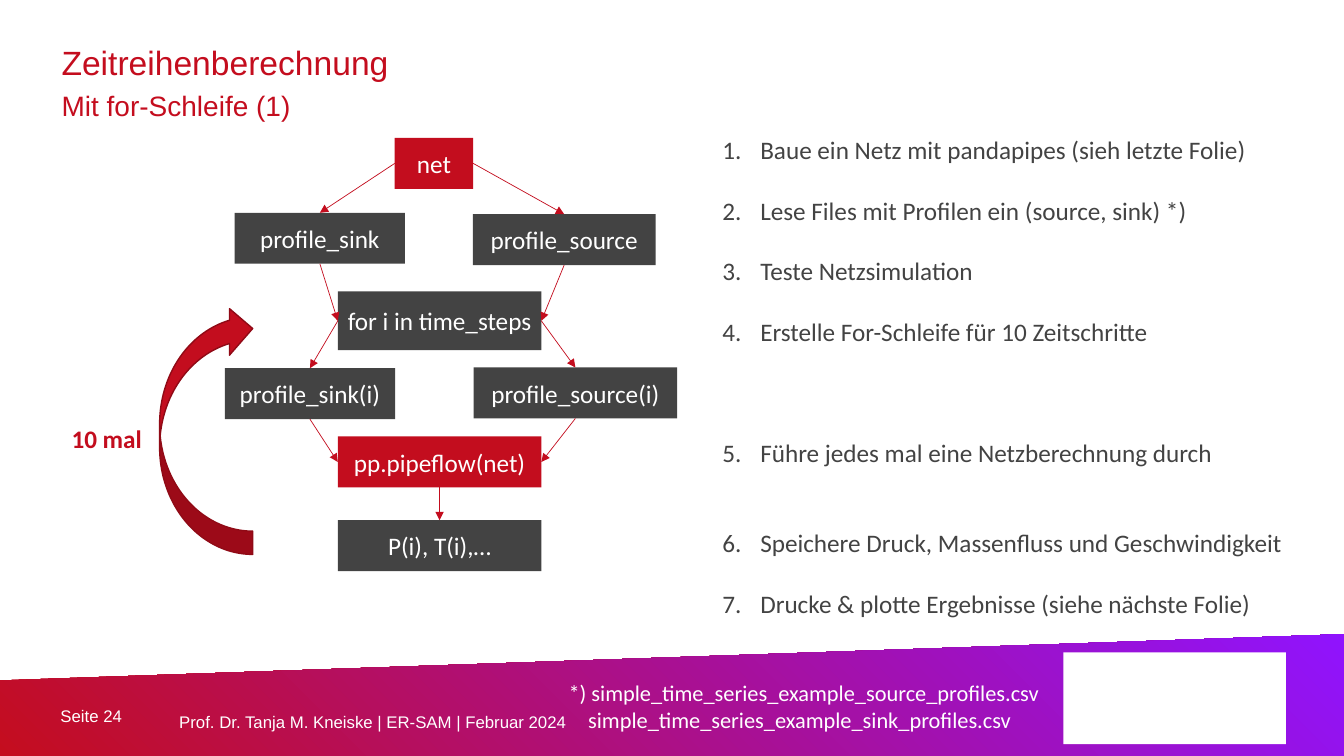
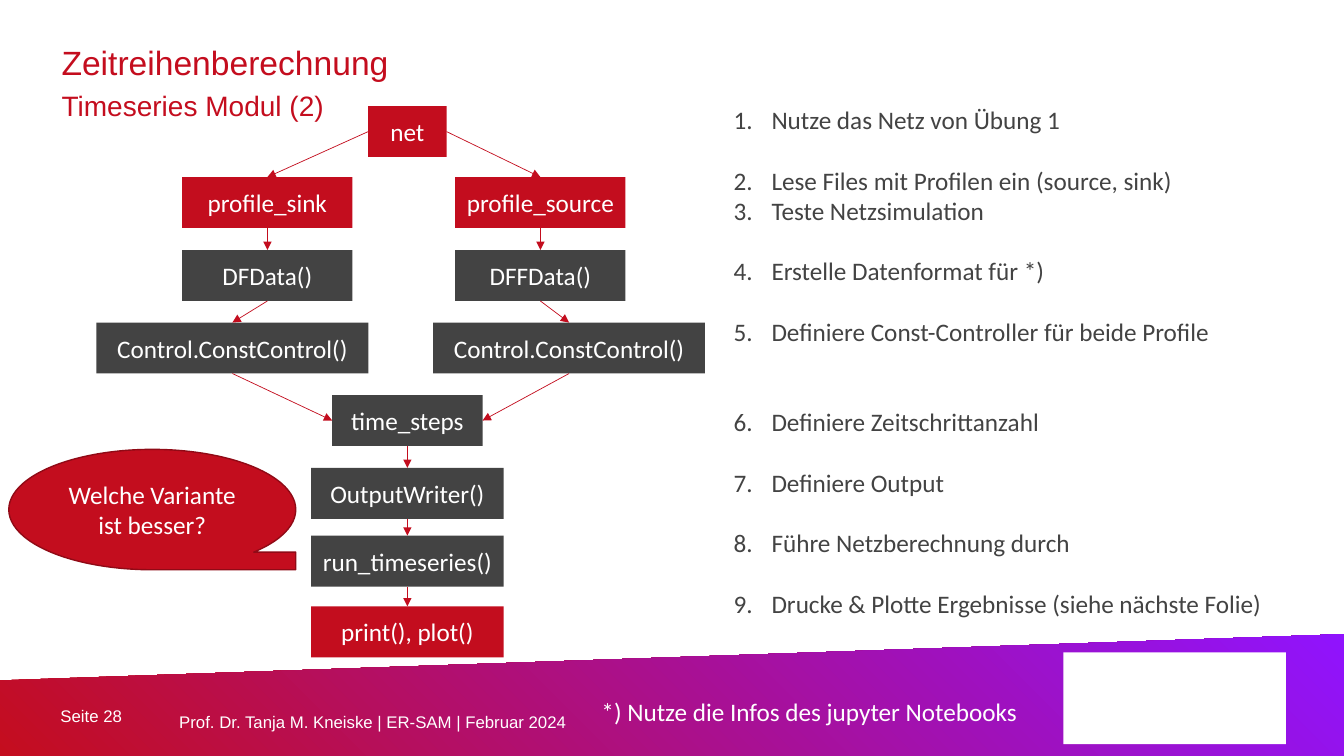
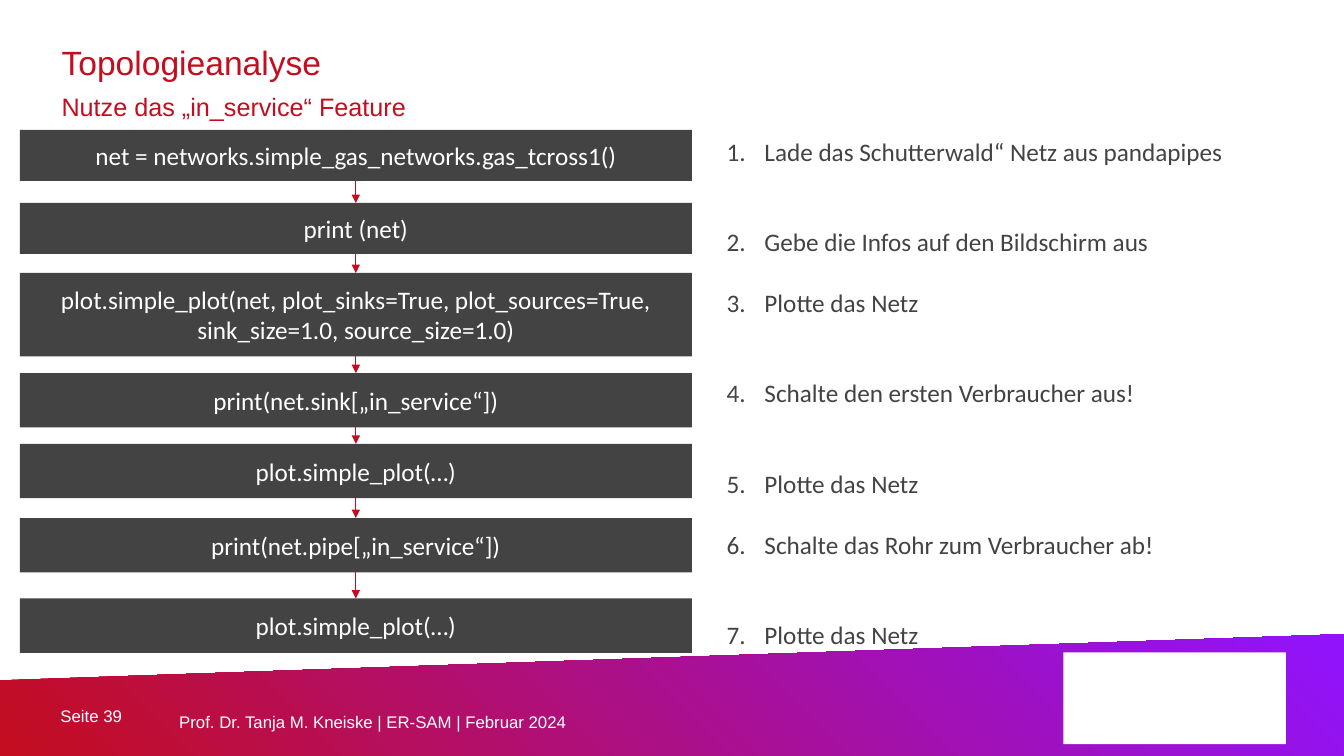
import itertools

import pptx
import pptx.dml.color
import pptx.enum.shapes
import pptx.enum.text
import pptx.oxml
import pptx.oxml.ns
import pptx.util

Pt = pptx.util.Pt
SHAPE = pptx.enum.shapes.MSO_SHAPE
MIDDLE = pptx.enum.text.MSO_ANCHOR.MIDDLE
BOTTOM = pptx.enum.text.MSO_ANCHOR.BOTTOM
CENTER = pptx.enum.text.PP_ALIGN.CENTER

TITLE_RED, RED, DARK_RED = "C40D1E", "C30D1E", "900A16"
GREY, WHITE, PURPLE = "434343", "FFFFFF", "9013FE"
WIDTH, HEIGHT = 960, 540
BOX_HEIGHT = 36.4
LIST_LINE = 21.6
LIST_INDENT = Pt(27)
TOP, LEFT, BELOW, RIGHT = range(4)
FOOTER = "Prof. Dr. Tanja M. Kneiske | ER-SAM | Februar 2024"

BODY = {"name": "Calibri", "size": Pt(18)}
SMALL = {"name": "Arial", "size": Pt(12)}
HEADING = {"name": "Arial", "size": Pt(24)}


def rgb(colour):
    return pptx.dml.color.RGBColor.from_string(colour)


def set_all(obj, values):
    for name, value in values.items():
        setattr(obj, name, value)


def add_xml(parent, tag, attributes=""):
    ns = pptx.oxml.ns.nsdecls("a")
    parent.append(pptx.oxml.parse_xml(f"<a:{tag} {ns} {attributes}/>"))


def write(p, text, font, colour, **layout):
    set_all(p, layout)
    r = p.add_run()
    r.text = text
    set_all(r.font, font)
    r.font.color.rgb = rgb(colour)


def set_frame(tf, side=7.2, edge=3.6, anchor=MIDDLE):
    set_all(tf, {
        "word_wrap": True, "vertical_anchor": anchor,
        "margin_left": Pt(side), "margin_right": Pt(side),
        "margin_top": Pt(edge), "margin_bottom": Pt(edge),
    })


def add_text(slide, area, **frame):
    """Add an empty text box and return its text frame."""
    tf = slide.shapes.add_textbox(*map(Pt, area)).text_frame
    set_frame(tf, **frame)
    return tf


def paint(sp, fill, line=None):
    sp.shadow.inherit = False
    sp.fill.solid()
    sp.fill.fore_color.rgb = rgb(fill)
    if line:
        sp.line.color.rgb = rgb(line)
        sp.line.width = Pt(1)
    else:
        sp.line.fill.background()


def add_shape(slide, kind, area, fill, line=None):
    sp = slide.shapes.add_shape(kind, *map(Pt, area))
    paint(sp, fill, line)
    return sp


def add_box(slide, text, center, top, width, fill=GREY, height=BOX_HEIGHT):
    """Add a labelled flow chart box centred on a vertical axis."""
    area = (center - width / 2, top, width, height)
    sp = add_shape(slide, SHAPE.RECTANGLE, area, fill)
    set_frame(sp.text_frame, side=2)
    write(sp.text_frame.paragraphs[0], text, BODY, WHITE, alignment=CENTER)
    return sp


def add_arrow(slide, start, start_side, end, end_side):
    straight = pptx.enum.shapes.MSO_CONNECTOR.STRAIGHT
    line = slide.shapes.add_connector(straight, 0, 0, 0, 0)
    line.begin_connect(start, start_side)
    line.end_connect(end, end_side)
    line.line.color.rgb = rgb(RED)
    line.line.width = Pt(0.5)
    add_xml(line.line._get_or_add_ln(), "tailEnd", 'type="triangle"')
    add_xml(line._element.spPr, "effectLst")


def add_chain(slide, *boxes):
    """Join boxes that stand one below the other."""
    for upper, lower in itertools.pairwise(boxes):
        add_arrow(slide, upper, BELOW, lower, TOP)


def add_steps(slide, left, top, steps):
    """Add a numbered list; each step has its gap in lines and its text."""
    tf = add_text(slide, (left, top, 435, 360),
                  anchor=pptx.enum.text.MSO_ANCHOR.TOP)
    for i, (gap, text) in enumerate(steps):
        p = tf.add_paragraph() if i else tf.paragraphs[0]
        pPr = p._p.get_or_add_pPr()
        pPr.set("marL", str(LIST_INDENT))
        pPr.set("indent", str(-LIST_INDENT))
        add_xml(pPr, "buFont", 'typeface="+mj-lt"')
        add_xml(pPr, "buAutoNum", 'type="arabicPeriod"')
        write(p, text, BODY, GREY, space_before=Pt(gap * LIST_LINE))


def add_band(slide):
    builder = slide.shapes.build_freeform(Pt(0), Pt(486))
    corners = [(WIDTH, 453), (WIDTH, HEIGHT), (0, HEIGHT)]
    builder.add_line_segments([(Pt(x), Pt(y)) for x, y in corners])
    sp = builder.convert_to_shape()
    paint(sp, TITLE_RED)
    sp.fill.gradient()
    sp.fill.gradient_angle = 45
    for stop, colour in zip(sp.fill.gradient_stops, (TITLE_RED, PURPLE)):
        stop.color.rgb = rgb(colour)


def add_slide(prs, page, title, subtitle, subtitle_size=20):
    """Add a slide with the shared band, footer and title."""
    slide = prs.slides.add_slide(prs.slide_layouts[6])
    add_band(slide)
    tf = add_text(slide, (43.2, 504, 85, 15), side=0, edge=0)
    write(tf.paragraphs[0], f"Seite {page}", SMALL, WHITE)
    tf = add_text(slide, (128, 500.4, 600, 21), side=0, edge=0)
    write(tf.paragraphs[0], FOOTER, SMALL, WHITE, line_spacing=Pt(24))
    add_shape(slide, SHAPE.RECTANGLE, (759.5, 466, 159, 65.5), WHITE)
    tf = add_text(slide, (44, 31, 654, 56), side=0, edge=0, anchor=BOTTOM)
    write(tf.paragraphs[0], title, HEADING, TITLE_RED, line_spacing=Pt(28))
    write(tf.add_paragraph(), subtitle,
          {**HEADING, "size": Pt(subtitle_size)}, TITLE_RED,
          line_spacing=Pt(28))
    return slide


def add_loop_slide(prs):
    slide = add_slide(prs, 24, "Zeitreihenberechnung", "Mit for-Schleife (1)")
    net = add_box(slide, "net", 310, 98.5, 56, RED)
    sink = add_box(slide, "profile_sink", 228.5, 152, 121.6)
    source = add_box(slide, "profile_source", 403, 153, 130.6)
    loop = add_box(slide, "for i in time_steps", 314, 208.2, 145.4, height=42)
    flow = add_box(slide, "pp.pipeflow(net)", 314, 311.8, 145.4, RED)
    sink_i = add_box(slide, "profile_sink(i)", 221.4, 263, 121.6)
    source_i = add_box(slide, "profile_source(i)", 411, 262.5, 145.4)
    result = add_box(slide, "P(i), T(i),…", 314, 371.6, 145.4)
    for side, profile, profile_i in ((RIGHT, source, source_i),
                                     (LEFT, sink, sink_i)):
        add_arrow(slide, net, side, profile, TOP)
        add_arrow(slide, profile, BELOW, loop, side)
        add_arrow(slide, loop, side, profile_i, TOP)
        add_arrow(slide, profile_i, BELOW, flow, side)
    add_chain(slide, flow, result)

    repeat = add_shape(slide, SHAPE.CURVED_LEFT_ARROW,
                       (114, 218, 66.5, 178), RED, DARK_RED)
    repeat.rotation = 180
    tf = add_text(slide, (44, 299, 70, 29))
    write(tf.paragraphs[0], "10 mal", {**BODY, "bold": True}, RED)

    add_steps(slide, 509, 92.5, [
        (0, "Baue ein Netz mit pandapipes (sieh letzte Folie)"),
        (1, "Lese Files mit Profilen ein (source, sink) *)"),
        (1, "Teste Netzsimulation"),
        (1, "Erstelle For-Schleife für 10 Zeitschritte"),
        (3, "Führe jedes mal eine Netzberechnung durch"),
        (2, "Speichere Druck, Massenfluss und Geschwindigkeit"),
        (1, "Drucke & plotte Ergebnisse (siehe nächste Folie)"),
    ])
    tf = add_text(slide, (399, 481, 358, 46))
    note = {**BODY, "size": Pt(16)}
    write(tf.paragraphs[0], "*) simple_time_series_example_source_profiles.csv",
          note, WHITE)
    p = tf.add_paragraph()
    p._p.get_or_add_pPr().set("marL", str(Pt(14)))
    write(p, "simple_time_series_example_sink_profiles.csv", note, WHITE)


def add_module_slide(prs):
    slide = add_slide(prs, 28, "Zeitreihenberechnung", "Timeseries Modul (2)")
    axis = 291
    net = add_box(slide, "net", axis, 75.8, 56, RED)
    steps = add_box(slide, "time_steps", axis, 282.2, 107.4)
    branches = ((RIGHT, 386, 406.5, "profile_source", "DFFData()"),
                (LEFT, 191, 166, "profile_sink", "DFData()"))
    for side, center, control_center, profile_name, data_name in branches:
        profile = add_box(slide, profile_name, center, 126.5, 121.6, RED)
        data = add_box(slide, data_name, center, 178.6, 121.6)
        control = add_box(slide, "Control.ConstControl()", control_center,
                          230.4, 194.2)
        add_arrow(slide, net, side, profile, TOP)
        add_chain(slide, profile, data, control)
        add_arrow(slide, control, BELOW, steps, side)
    writer = add_box(slide, "OutputWriter()", axis, 334.2, 137.4)
    run = add_box(slide, "run_timeseries()", axis, 382.6, 137.4)
    output = add_box(slide, "print(), plot()", axis, 433.2, 137.4, RED)
    add_chain(slide, steps, writer, run, output)

    add_steps(slide, 517, 71, [
        (0, "Nutze das Netz von Übung 1"),
        (1, "Lese Files mit Profilen ein (source, sink)"),
        (0, "Teste Netzsimulation"),
        (1, "Erstelle Datenformat für *)"),
        (1, "Definiere Const-Controller für beide Profile"),
        (2, "Definiere Zeitschrittanzahl"),
        (1, "Definiere Output"),
        (1, "Führe Netzberechnung durch"),
        (1, "Drucke & Plotte Ergebnisse (siehe nächste Folie)"),
    ])
    tf = add_text(slide, (422.6, 494, 330, 29))
    write(tf.paragraphs[0], "*) Nutze die Infos des jupyter Notebooks",
          BODY, WHITE)
    question = add_shape(slide, SHAPE.FLOWCHART_SEQUENTIAL_ACCESS_STORAGE,
                         (6.3, 321, 205, 86), RED, DARK_RED)
    set_frame(question.text_frame)
    write(question.text_frame.paragraphs[0], "Welche Variante ist besser?",
          BODY, WHITE, alignment=CENTER)


def add_topology_slide(prs):
    slide = add_slide(prs, 39, "Topologieanalyse",
                      "Nutze das „in_service“ Feature", 18)
    commands = [
        ("net = networks.simple_gas_networks.gas_tcross1()", 92.8, BOX_HEIGHT),
        ("print (net)", 145, BOX_HEIGHT),
        ("plot.simple_plot(net, plot_sinks=True, plot_sources=True, "
         "sink_size=1.0, source_size=1.0)", 195, 59.6),
        ("print(net.sink[„in_service“])", 266.5, 38.8),
        ("plot.simple_plot(…)", 317, 38.8),
        ("print(net.pipe[„in_service“])", 370, 38.8),
        ("plot.simple_plot(…)", 427.5, 38.8),
    ]
    add_chain(slide, *[add_box(slide, text, 254.2, top, 480, height=height)
                       for text, top, height in commands])
    add_steps(slide, 512, 93.5, [
        (0, "Lade das Schutterwald“ Netz aus pandapipes"),
        (2, "Gebe die Infos auf den Bildschirm aus"),
        (1, "Plotte das Netz"),
        (2, "Schalte den ersten Verbraucher aus!"),
        (2, "Plotte das Netz"),
        (1, "Schalte das Rohr zum Verbraucher ab!"),
        (2, "Plotte das Netz"),
    ])


def main():
    prs = pptx.Presentation()
    prs.slide_width, prs.slide_height = Pt(WIDTH), Pt(HEIGHT)
    add_loop_slide(prs)
    add_module_slide(prs)
    add_topology_slide(prs)
    prs.save("out.pptx")


if __name__ == "__main__":
    main()
